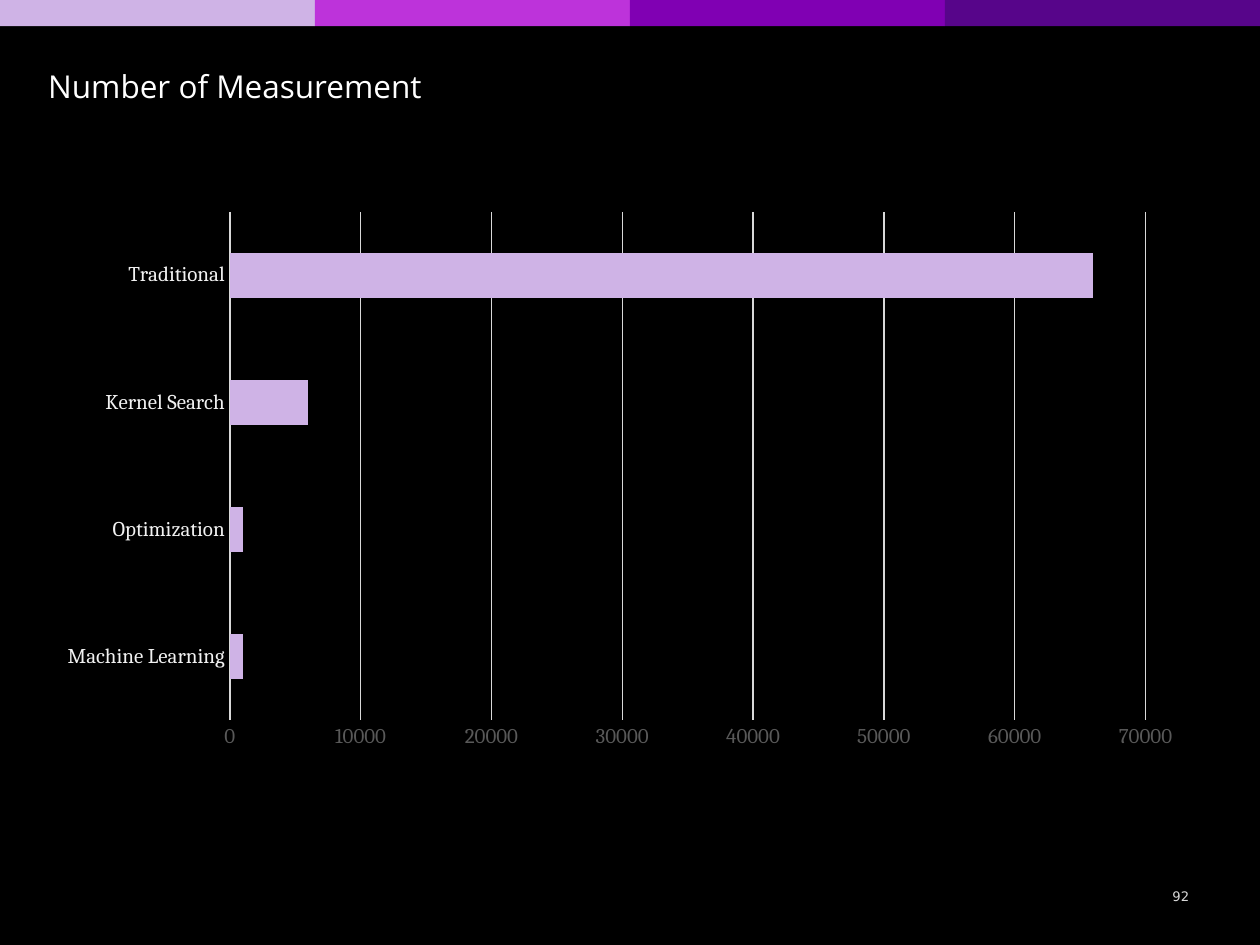
from dataclasses import dataclass

import pptx
import pptx.chart.data
import pptx.dml.color
import pptx.enum.chart
import pptx.enum.shapes
import pptx.enum.text
import pptx.util

Pt = pptx.util.Pt
RGBColor = pptx.dml.color.RGBColor
Align = pptx.enum.text.PP_ALIGN
Anchor = pptx.enum.text.MSO_ANCHOR

BLACK = RGBColor(0x00, 0x00, 0x00)
WHITE = RGBColor(0xFF, 0xFF, 0xFF)
LILAC = RGBColor(0xCF, 0xB3, 0xE6)
ORCHID = RGBColor(0xBD, 0x33, 0xDA)
VIOLET = RGBColor(0x80, 0x00, 0xB3)
INDIGO = RGBColor(0x57, 0x05, 0x8A)
PALE = RGBColor(0xF1, 0xF1, 0xF1)
SILVER = RGBColor(0xD9, 0xD9, 0xD9)
GRAY = RGBColor(0x59, 0x59, 0x59)

PAGE_WIDTH, PAGE_HEIGHT = 720, 540
BAND_COLORS = (LILAC, ORCHID, VIOLET, INDIGO)
BAND_HEIGHT = 15

MEASUREMENTS = {
    "Machine Learning": 1000,
    "Optimization": 1000,
    "Kernel Search": 6000,
    "Traditional": 66000,
}


@dataclass(frozen=True)
class Label:
    text: str
    left: float
    top: float
    width: float
    height: float
    font: str
    size: float
    color: RGBColor
    align: Align
    frame_format: dict


LABELS = (
    Label("92", 658.5, 502.5, 32.5, 19.5, "DejaVu Sans", 7.5, SILVER, Align.CENTER,
          {"vertical_anchor": Anchor.MIDDLE, "margin_left": 0, "margin_right": 0}),
    Label("Number of Measurement", 20.5, 34.5, 360, 29, "Open Sans", 18, WHITE, Align.LEFT,
          {"vertical_anchor": Anchor.TOP,
           "auto_size": pptx.enum.text.MSO_AUTO_SIZE.SHAPE_TO_FIT_TEXT}),
)


def apply_format(target, values: dict) -> None:
    for name, value in values.items():
        setattr(target, name, value)


def style_font(font, name: str, size: float, color: RGBColor) -> None:
    apply_format(font, {"name": name, "size": Pt(size), "bold": False})
    font.color.rgb = color


def style_line(line, color: RGBColor) -> None:
    line.color.rgb = color
    line.width = Pt(0.75)


def draw_bands(page) -> None:
    width = PAGE_WIDTH / len(BAND_COLORS)
    for index, color in enumerate(BAND_COLORS):
        band = page.shapes.add_shape(pptx.enum.shapes.MSO_SHAPE.RECTANGLE,
                                     Pt(index * width), Pt(0), Pt(width), Pt(BAND_HEIGHT))
        band.shadow.inherit = False
        band.fill.solid()
        band.fill.fore_color.rgb = color
        band.line.fill.background()


def draw_label(page, label: Label) -> None:
    box = page.shapes.add_textbox(Pt(label.left), Pt(label.top),
                                  Pt(label.width), Pt(label.height))
    apply_format(box.text_frame, {"word_wrap": True, **label.frame_format})
    para = box.text_frame.paragraphs[0]
    para.alignment = label.align
    span = para.add_run()
    span.text = label.text
    style_font(span.font, label.font, label.size, label.color)


def draw_chart(page) -> None:
    data = pptx.chart.data.CategoryChartData()
    data.categories = list(MEASUREMENTS)
    data.add_series("Series 1", list(MEASUREMENTS.values()))
    chart = page.shapes.add_chart(pptx.enum.chart.XL_CHART_TYPE.BAR_CLUSTERED,
                                  Pt(25.5), Pt(114.75), Pt(657.5), Pt(319.5), data).chart
    apply_format(chart, {"has_legend": False, "has_title": False})
    style_font(chart.font, "Cambria", 10, BLACK)

    plot = chart.plots[0]
    apply_format(plot, {"gap_width": 182, "vary_by_categories": False})
    fill = plot.series[0].format.fill
    fill.solid()
    fill.fore_color.rgb = LILAC

    no_tick = pptx.enum.chart.XL_TICK_MARK.NONE
    for axis, color in ((chart.category_axis, PALE), (chart.value_axis, GRAY)):
        apply_format(axis, {"major_tick_mark": no_tick, "minor_tick_mark": no_tick})
        style_font(axis.tick_labels.font, "Cambria", 12, color)
    chart.category_axis.has_major_gridlines = False
    style_line(chart.category_axis.format.line, SILVER)
    apply_format(chart.value_axis, {"minimum_scale": 0, "maximum_scale": 70000,
                                    "major_unit": 10000, "has_major_gridlines": True})
    chart.value_axis.format.line.fill.background()
    style_line(chart.value_axis.major_gridlines.format.line, SILVER)


def main() -> None:
    deck = pptx.Presentation()
    apply_format(deck, {"slide_width": Pt(PAGE_WIDTH), "slide_height": Pt(PAGE_HEIGHT)})
    page = deck.slides.add_slide(deck.slide_layouts[6])
    page.background.fill.solid()
    page.background.fill.fore_color.rgb = BLACK
    draw_bands(page)
    draw_chart(page)
    for label in LABELS:
        draw_label(page, label)
    deck.save("out.pptx")


if __name__ == "__main__":
    main()
